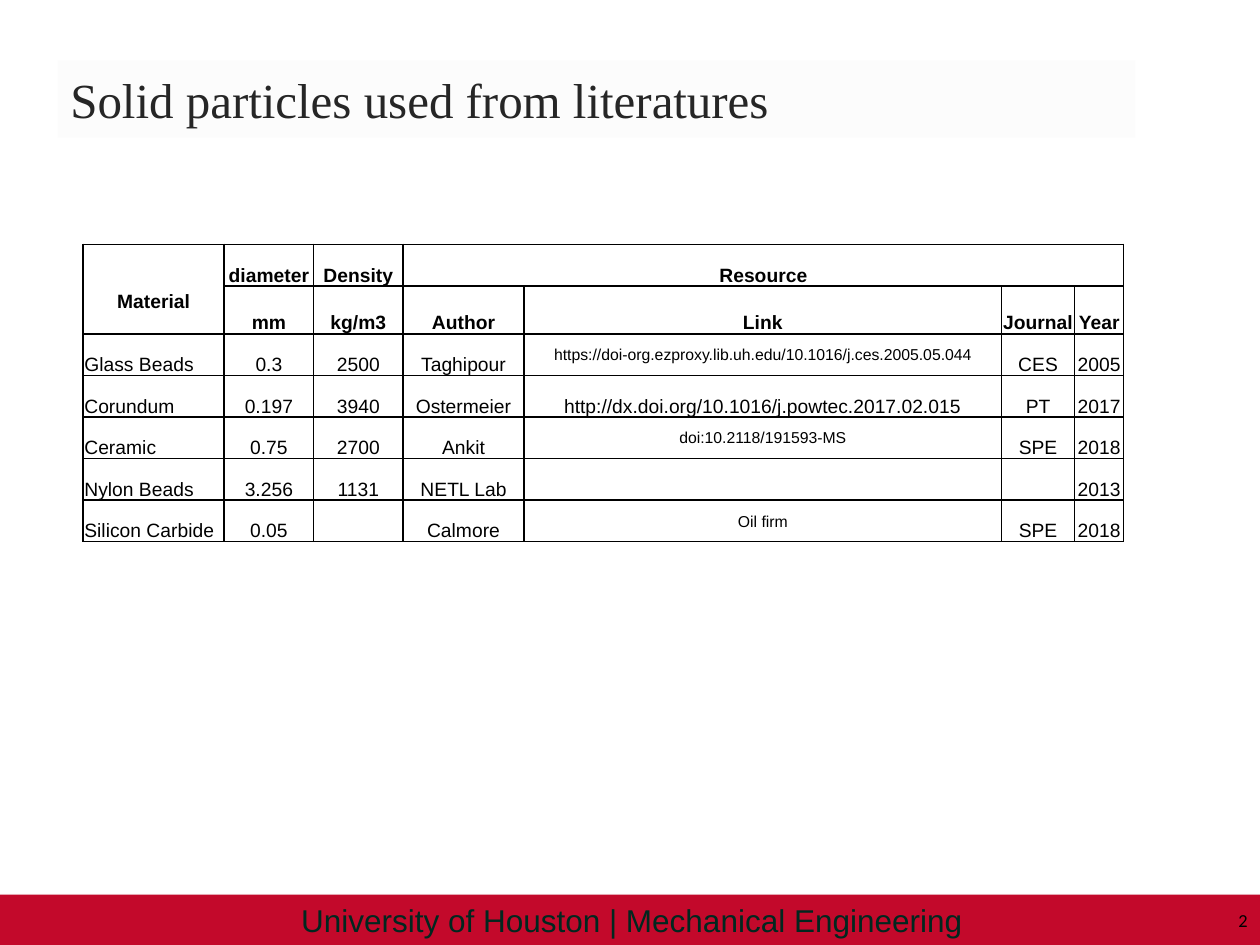
from pptx import Presentation
from pptx.util import Inches, Pt
from pptx.dml.color import RGBColor as Rgb
from pptx.enum.shapes import MSO_SHAPE as Shape
from pptx.enum.text import PP_ALIGN as Align, MSO_ANCHOR as Anchor
from pptx.oxml import parse_xml

NS = 'xmlns:a="http://schemas.openxmlformats.org/drawingml/2006/main"'
INK = {"page": "FFFFFF", "panel": "FCFCFC", "title": "262626", "band": "C3092B",
       "foot": "00281F", "text": "000000", "shade": "808080"}
COLS = [1.12, 0.71, 0.71, 0.96, 3.79, 0.58, 0.39]
HEAD = [["Material", "diameter", "Density", "Resource", "", "", ""],
        ["", "mm", "kg/m3", "Author", "Link", "Journal", "Year"]]
BODY = [
    ["Glass Beads", "0.3", "2500", "Taghipour",
     "https://doi-org.ezproxy.lib.uh.edu/10.1016/j.ces.2005.05.044", "CES", "2005"],
    ["Corundum", "0.197", "3940", "Ostermeier",
     "http://dx.doi.org/10.1016/j.powtec.2017.02.015", "PT", "2017"],
    ["Ceramic", "0.75", "2700", "Ankit", "doi:10.2118/191593-MS", "SPE", "2018"],
    ["Nylon Beads", "3.256", "1131", "NETL Lab", "", "", "2013"],
    ["Silicon Carbide", "0.05", "", "Calmore", "Oil firm", "SPE", "2018"],
]
SMALL = {0, 2, 4}
LINK = 4


def write(frame, text, size=11, face="Arial", ink="text", bold=False, align=Align.CENTER):
    para = frame.paragraphs[0]
    para.alignment = align
    run = para.add_run()
    run.text = text
    font = run.font
    font.size, font.name, font.bold = Pt(size), face, bold
    font.color.rgb = Rgb.from_string(INK[ink])


def panel(slide, box, ink):
    rect = slide.shapes.add_shape(Shape.RECTANGLE, *map(Inches, box))
    rect.shadow.inherit = False
    rect.fill.solid()
    rect.fill.fore_color.rgb = Rgb.from_string(INK[ink])
    rect.line.fill.background()
    return rect


def label(slide, box, text, anchor, **style):
    frame = slide.shapes.add_textbox(*map(Inches, box)).text_frame
    frame.word_wrap = True
    frame.vertical_anchor = anchor
    write(frame, text, **style)


def title(slide, box):
    frame = panel(slide, box, "panel").text_frame
    frame.vertical_anchor = Anchor.MIDDLE
    write(frame, "Solid particles used from literatures", size=28,
          face="Times New Roman", ink="title", align=Align.LEFT)


def footer(slide, box):
    left, top, width, height = box
    band = panel(slide, box, "band")
    effect = band._element.spPr.find("{*}effectLst")
    effect.append(parse_xml(
        f'<a:outerShdw {NS} blurRad="{Pt(3.1)}" dist="{Pt(1.8)}" dir="5400000" '
        f'rotWithShape="0"><a:srgbClr val="{INK["shade"]}">'
        '<a:alpha val="35000"/></a:srgbClr></a:outerShdw>'))
    label(slide, (left + 2.23, top, 5.57, height),
          "University of Houston | Mechanical Engineering", Anchor.TOP,
          size=18, ink="foot")
    label(slide, (left + width - 1.08, top, 1.08, height), "2", Anchor.MIDDLE,
          size=10.5, face="Calibri", align=Align.RIGHT)


def border(cell):
    props = cell._tc.get_or_add_tcPr()
    for side in "LRTB":
        props.append(parse_xml(
            f'<a:ln{side} {NS} w="{Pt(1)}"><a:solidFill>'
            f'<a:srgbClr val="{INK["text"]}"/></a:solidFill></a:ln{side}>'))
    cell.fill.background()


def grid(slide, box):
    rows = HEAD + BODY
    table = slide.shapes.add_table(len(rows), len(COLS), *map(Inches, box)).table
    table.first_row = table.horz_banding = False
    for col, width in zip(table.columns, COLS):
        col.width = Inches(width)
    for row in table.rows:
        row.height = Inches(0.33)
    table.rows[1].height = Inches(0.38)
    for r, row in enumerate(rows):
        for c, text in enumerate(row):
            cell = table.cell(r, c)
            border(cell)
            cell.margin_left = cell.margin_right = cell.margin_top = Inches(0.01)
            cell.margin_bottom = 0
            small = c == LINK and r - len(HEAD) in SMALL
            cell.vertical_anchor = Anchor.MIDDLE if small else Anchor.BOTTOM
            if text:
                head = r < len(HEAD)
                write(cell.text_frame, text, size=9 if small else 11, bold=head,
                      align=Align.LEFT if c == 0 and not head else Align.CENTER)
    first = table.cell(0, 0)
    first.merge(table.cell(1, 0))
    first.margin_bottom = Inches(0.17)
    table.cell(0, 3).merge(table.cell(0, 6))


def main():
    deck = Presentation()
    deck.slide_width, deck.slide_height = Inches(10), Inches(7.5)
    slide = deck.slides.add_slide(deck.slide_layouts[6])
    slide.background.fill.solid()
    slide.background.fill.fore_color.rgb = Rgb.from_string(INK["page"])
    title(slide, (0.46, 0.48, 8.55, 0.61))
    footer(slide, (0, 7.1, 10, 0.4))
    grid(slide, (0.66, 1.94, sum(COLS), 2.36))
    deck.save("out.pptx")


if __name__ == "__main__":
    main()
